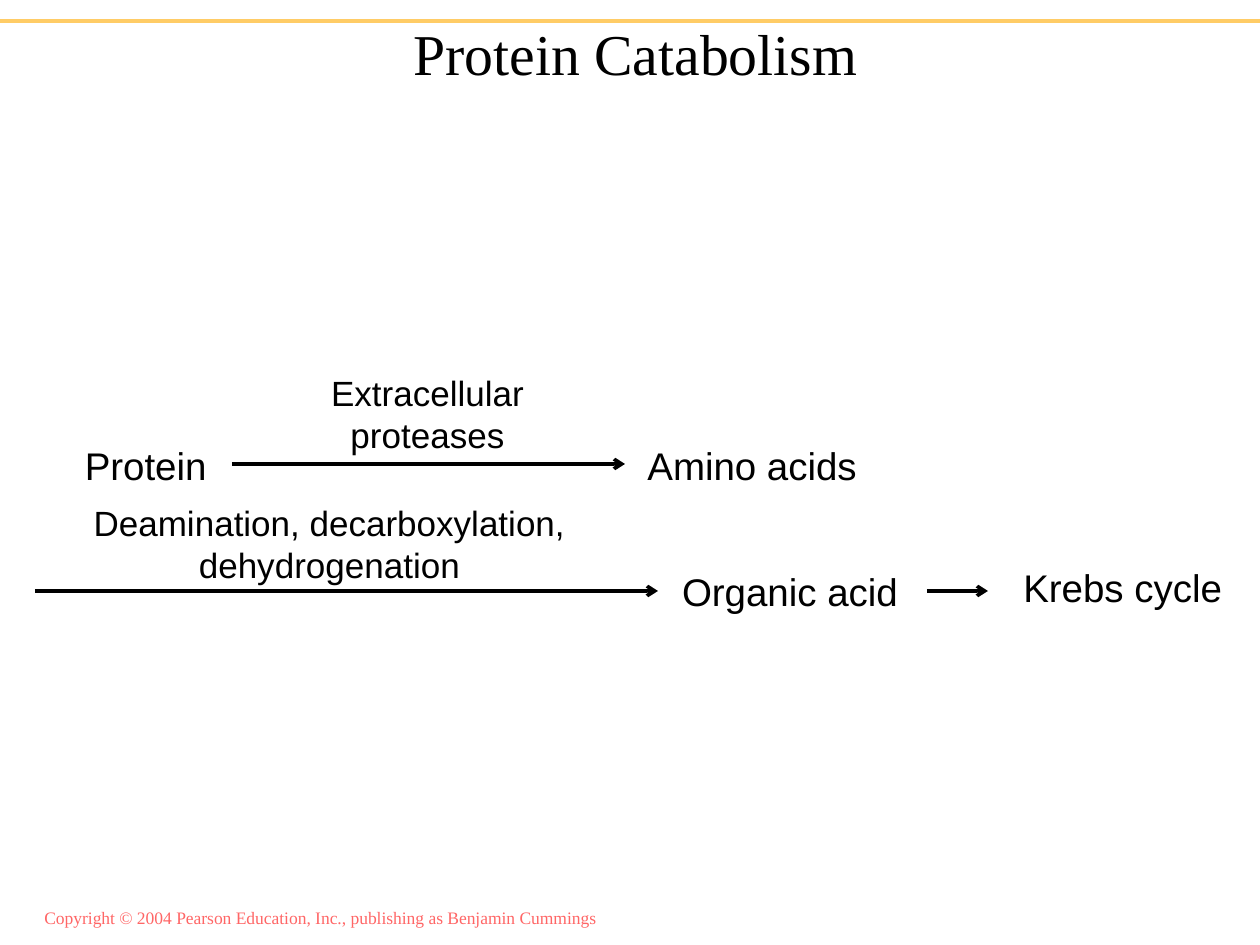
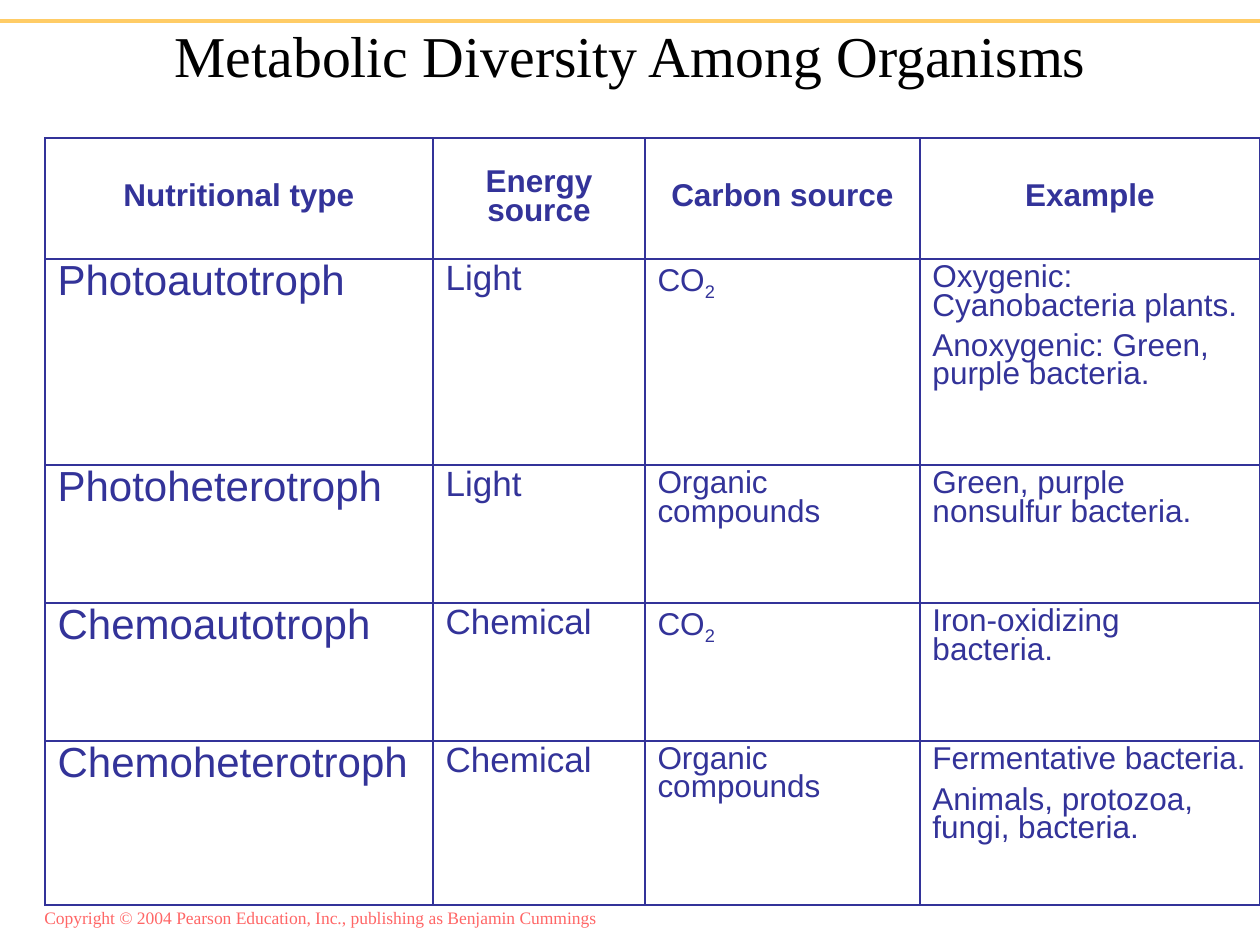
from lxml.etree import SubElement
from pptx import Presentation
from pptx.dml.color import RGBColor
from pptx.enum.text import MSO_ANCHOR as Anchor, MSO_AUTO_SIZE as AutoSize, PP_ALIGN as Align
from pptx.oxml import parse_xml
from pptx.oxml.ns import nsdecls, qn
from pptx.util import Pt

PX = 914400 / 126
BLACK = RGBColor(0x00, 0x00, 0x00)
GOLD = RGBColor(0xFF, 0xCC, 0x66)
CORAL = RGBColor(0xFF, 0x66, 0x66)
INDIGO = RGBColor(0x33, 0x33, 0x99)
SERIF, SANS = "Times New Roman", "Arial"
COPYRIGHT = "Copyright © 2004 Pearson Education, Inc., publishing as Benjamin Cummings"


def write(frame, text, size, color=BLACK, font=SANS, bold=False, align=Align.LEFT,
          anchor=Anchor.TOP, spacing=1.0, gap=0):
    """Fill a text frame; a newline starts a paragraph, and ~ a subscript."""
    frame.vertical_anchor = anchor
    for row, line in enumerate(text.split("\n")):
        paragraph = frame.paragraphs[0] if row == 0 else frame.add_paragraph()
        paragraph.alignment = align
        paragraph.line_spacing = spacing
        paragraph.space_before = Pt(gap if row else 0)
        for part, words in enumerate(line.split("~")):
            run = paragraph.add_run()
            run.text = words
            run.font.name, run.font.size, run.font.bold = font, Pt(size), bold
            run.font.color.rgb = color
            if part:
                run._r.get_or_add_rPr().set("baseline", "-25000")


def draw_line(slide, x1, x2, y, color, arrow=False):
    line = slide.shapes.add_connector(1, *(round(v * PX) for v in (x1, y, x2, y)))
    line.line.color.rgb = color
    line.line.width = Pt(2)
    if arrow:
        SubElement(line.line._get_or_add_ln(), qn("a:tailEnd"), type="arrow")
    SubElement(line._element.spPr, qn("a:effectLst"))


deck = Presentation()
deck.slide_width, deck.slide_height = round(1260 * PX), round(945 * PX)

# Both slides: copyright, gold band and title
slides = []
for heading, title_place in [
    ("Protein Catabolism", (32, 19, 1207, 76)),
    ("Metabolic Diversity Among Organisms", (8, 21, 1245, 76)),
]:
    slide = deck.slides.add_slide(deck.slide_layouts[5])
    slides.append(slide)
    footer = slide.shapes.add_textbox(*(round(v * PX) for v in (32, 901, 580, 34)))
    footer.text_frame.word_wrap = False
    footer.text_frame.auto_size = AutoSize.SHAPE_TO_FIT_TEXT
    write(footer.text_frame, COPYRIGHT, 10, CORAL, SERIF)
    draw_line(slide, 1260, 0, 21, GOLD)
    title = slide.shapes.title
    title.left, title.top, title.width, title.height = (round(v * PX) for v in title_place)
    title.text_frame.auto_size = AutoSize.SHAPE_TO_FIT_TEXT
    write(title.text_frame, heading, 33, font=SERIF, align=Align.CENTER, spacing=0.9)
pathway, diversity = slides

# Pathway: compounds on one line, enzyme steps wrapped above their arrows
for words, place, is_step, align in [
    ("Protein", (72, 436, 147, 59), False, Align.RIGHT),
    ("Amino acids", (635, 436, 236, 59), False, Align.LEFT),
    ("Organic acid", (669, 562, 242, 59), False, Align.CENTER),
    ("Krebs cycle", (1011, 558, 224, 59), False, Align.LEFT),
    ("Extracellular proteases", (246, 365, 363, 97), True, Align.CENTER),
    ("Deamination, decarboxylation, dehydrogenation", (21, 495, 617, 97), True, Align.CENTER),
]:
    label = pathway.shapes.add_textbox(*(round(v * PX) for v in place))
    label.text_frame.word_wrap = is_step
    label.text_frame.auto_size = AutoSize.SHAPE_TO_FIT_TEXT
    write(label.text_frame, words, 20 if is_step else 22, align=align,
          anchor=Anchor.BOTTOM if is_step else Anchor.TOP)

for start, end, y in [(232, 625, 464), (35, 658, 591), (927, 988, 591)]:
    draw_line(pathway, start, end, y, BLACK, arrow=True)

# Diversity table
nutrition = [
    ("Nutritional type", "Energy source", "Carbon source", "Example"),
    ("Photoautotroph", "Light", "CO~2",
     "Oxygenic: Cyanobacteria plants.\nAnoxygenic: Green, purple bacteria."),
    ("Photoheterotroph", "Light", "Organic compounds", "Green, purple nonsulfur bacteria."),
    ("Chemoautotroph", "Chemical", "CO~2", "Iron-oxidizing bacteria."),
    ("Chemoheterotroph", "Chemical", "Organic compounds",
     "Fermentative bacteria.\nAnimals, protozoa, fungi, bacteria."),
]
column_widths = (388, 212, 275, 340)
row_heights = (121, 206, 138, 138, 164)
column_sizes = (24, 20, 18, 18)
table_place = (45, 138, sum(column_widths), sum(row_heights))
grid = diversity.shapes.add_table(
    len(row_heights), len(column_widths), *(round(v * PX) for v in table_place)).table
grid.first_row = grid.horz_banding = False
for column, width in zip(grid.columns, column_widths):
    column.width = round(width * PX)
for row, height in zip(grid.rows, row_heights):
    row.height = round(height * PX)

for r, entries in enumerate(nutrition):
    for c, words in enumerate(entries):
        cell = grid.cell(r, c)
        header = r == 0
        write(cell.text_frame, words, 18 if header else column_sizes[c], INDIGO, bold=header,
              align=Align.CENTER if header else Align.LEFT, spacing=0.8, gap=7)
        cell.vertical_anchor = Anchor.MIDDLE if header else Anchor.TOP
        cell.fill.background()
        # Borders stand before the fill
        for index, side in enumerate(("lnL", "lnR", "lnT", "lnB")):
            cell._tc.tcPr.insert(index, parse_xml(
                f'<a:{side} {nsdecls("a")} w="{Pt(1)}"><a:solidFill>'
                f'<a:srgbClr val="{INDIGO}"/></a:solidFill></a:{side}>'))

deck.save("out.pptx")
